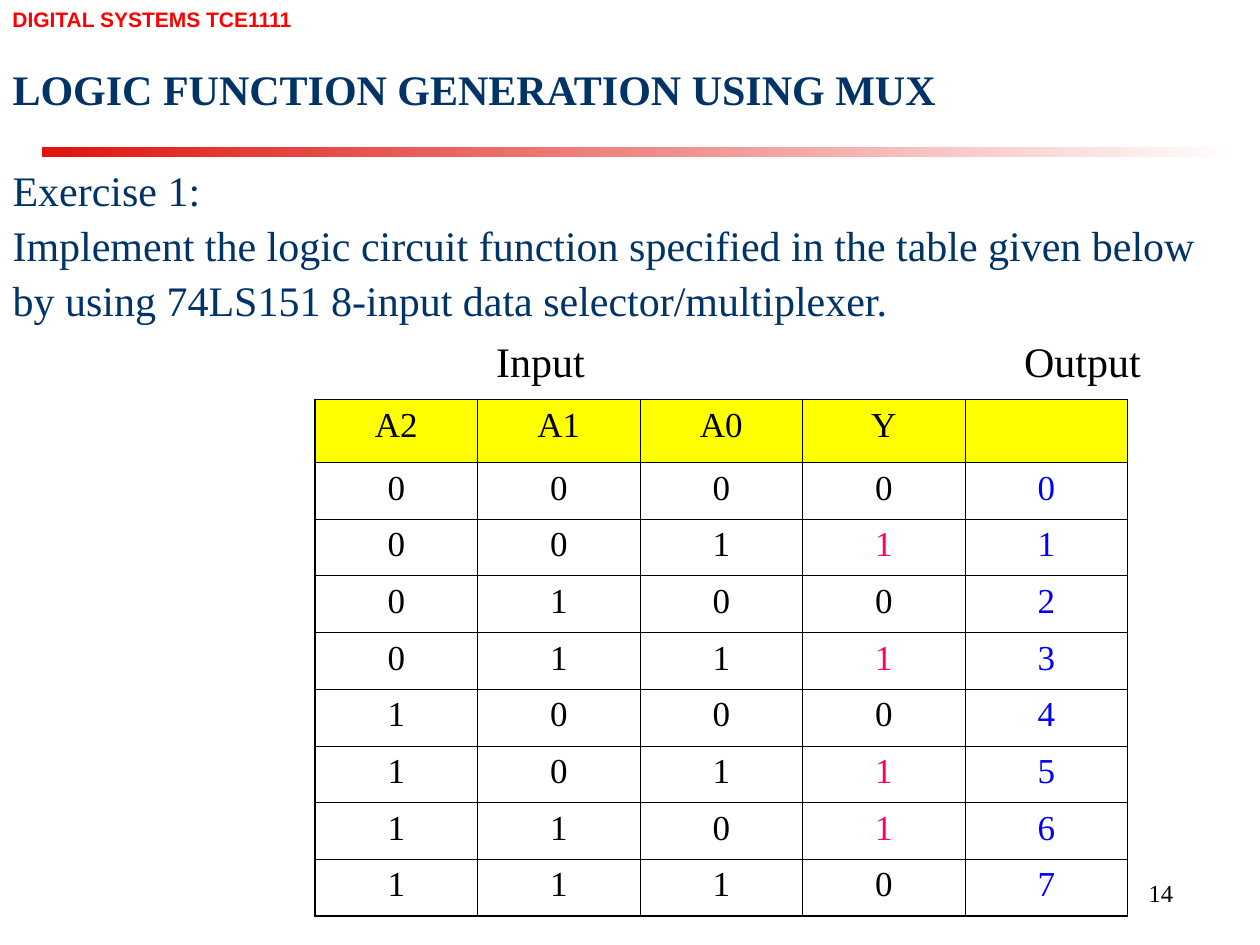
from lxml import etree
from pptx import Presentation, util as u
from pptx.dml.color import RGBColor
from pptx.enum import shapes, text
from pptx.oxml.ns import qn

# Content
COURSE = "DIGITAL SYSTEMS TCE1111"
TITLE = "LOGIC FUNCTION GENERATION USING MUX"
EXERCISE = [
    "Exercise 1:",
    "Implement the logic circuit function specified in the table given below by "
    "using 74LS151 8-input data selector/multiplexer.",
]
HEADERS = ["A2", "A1", "A0", "Y", ""]
OUTPUTS = [0, 1, 0, 1, 0, 1, 1, 0]
TRUTH_TABLE = [HEADERS] + [
    [*f"{number:03b}", str(output), str(number)]
    for number, output in enumerate(OUTPUTS)
]
GROUP_LABELS = [("Input", 3.84), ("Output", 8.03)]
PAGE_NUMBER = "14"

# Style and grid, in inches and points
SERIF = "Times New Roman"
NAVY, BLACK, RED = "003366", "000000", "FF0000"
PINK, BLUE, YELLOW = "FF0066", "0000FF", "FFFF00"
TABLE_LEFT, TABLE_TOP = 2.5, 3.17
COLUMN_WIDTH, HEADER_HEIGHT, ROW_HEIGHT = 1.29, 0.5, 0.45
THIN, THICK = 0.45, 1.08


def color(value):
    return RGBColor.from_string(value)


def place(shape, left, top, width, height):
    shape.left, shape.top = u.Inches(left), u.Inches(top)
    shape.width, shape.height = u.Inches(width), u.Inches(height)


def write(frame, lines, size=24, font=SERIF, fill=BLACK, bold=False,
          align=text.PP_ALIGN.LEFT, wrap=True, spacing=None):
    frame.word_wrap = wrap
    frame.vertical_anchor = text.MSO_ANCHOR.TOP
    for index, line in enumerate(lines):
        paragraph = frame.paragraphs[0] if index == 0 else frame.add_paragraph()
        properties = paragraph._p.get_or_add_pPr()
        properties.set("marL", "0")
        properties.set("indent", "0")
        etree.SubElement(properties, qn("a:buNone"))
        paragraph.alignment = align
        paragraph.space_before = u.Pt(0)
        if spacing:
            paragraph.line_spacing = spacing
        run = paragraph.add_run()
        run.text = line
        run.font.size, run.font.name, run.font.bold = u.Pt(size), font, bold
        run.font.color.rgb = color(fill)


def add_text(slide, box, lines, **style):
    shape = slide.shapes.add_textbox(*(u.Inches(value) for value in box))
    write(shape.text_frame, lines, **style)


def set_borders(cell, widths):
    properties = cell._tc.get_or_add_tcPr()
    for position, (side, width) in enumerate(widths.items()):
        line = etree.Element(qn(f"a:{side}"), w=str(u.Pt(width)))
        fill = etree.SubElement(line, qn("a:solidFill"))
        etree.SubElement(fill, qn("a:srgbClr"), val=BLACK)
        properties.insert(position, line)


def add_truth_table(slide):
    row_count, column_count = len(TRUTH_TABLE), len(HEADERS)
    height = HEADER_HEIGHT + ROW_HEIGHT * (row_count - 1)
    table = slide.shapes.add_table(
        row_count, column_count, u.Inches(TABLE_LEFT), u.Inches(TABLE_TOP),
        u.Inches(COLUMN_WIDTH * column_count), u.Inches(height)).table
    for column in table.columns:
        column.width = u.Inches(COLUMN_WIDTH)
    for r, values in enumerate(TRUTH_TABLE):
        table.rows[r].height = u.Inches(ROW_HEIGHT if r else HEADER_HEIGHT)
        for c, value in enumerate(values):
            cell = table.cell(r, c)
            if r == 0:
                cell.fill.solid()
                cell.fill.fore_color.rgb = color(YELLOW)
            else:
                cell.fill.background()
            is_high = r > 0 and HEADERS[c] == "Y" and value == "1"
            fill = PINK if is_high else BLUE if c == column_count - 1 else BLACK
            if value:
                write(cell.text_frame, [value], size=20, fill=fill,
                      align=text.PP_ALIGN.CENTER)
            set_borders(cell, {
                "lnL": THICK if c == 0 else THIN,
                "lnR": THICK if c == column_count - 1 else THIN,
                "lnT": THICK if r == 0 else THIN,
                "lnB": THICK if r == row_count - 1 else THIN,
            })


def main():
    presentation = Presentation()
    presentation.slide_width, presentation.slide_height = u.Inches(10), u.Inches(7.5)
    slide = presentation.slides.add_slide(presentation.slide_layouts[1])

    # Gradient rule under the title
    rule = slide.shapes.add_shape(shapes.MSO_SHAPE.RECTANGLE, 0, 0, 0, 0)
    place(rule, 0.33, 1.17, 9.5, 0.08)
    rule.shadow.inherit = False
    rule.line.fill.background()
    rule.fill.gradient()
    rule.fill.gradient_angle = 0
    for stop, value in zip(rule.fill.gradient_stops, ("DF140F", "FFFFFF")):
        stop.color.rgb = color(value)

    # Course name, title and exercise
    add_text(slide, (0, 0, 2.45, 0.3), [COURSE], size=12, font="Arial",
             fill=RED, bold=True, wrap=False)
    title, body = slide.shapes.title, slide.placeholders[1]
    place(title, 0, 0.42, 10, 0.6)
    write(title.text_frame, [TITLE], fill=NAVY, bold=True, spacing=1.09)
    place(body, 0, 1.22, 10, 1.35)
    write(body.text_frame, EXERCISE, fill=NAVY, spacing=1.09)

    # Truth table with its group labels
    add_truth_table(slide)
    for label, left in GROUP_LABELS:
        add_text(slide, (left, 2.58, 1.5, 0.5), [label], spacing=1.09)

    # Page number
    add_text(slide, (7.33, 6.92, 2.08, 0.5), [PAGE_NUMBER], size=14,
             align=text.PP_ALIGN.RIGHT)
    presentation.save("out.pptx")


if __name__ == "__main__":
    main()
